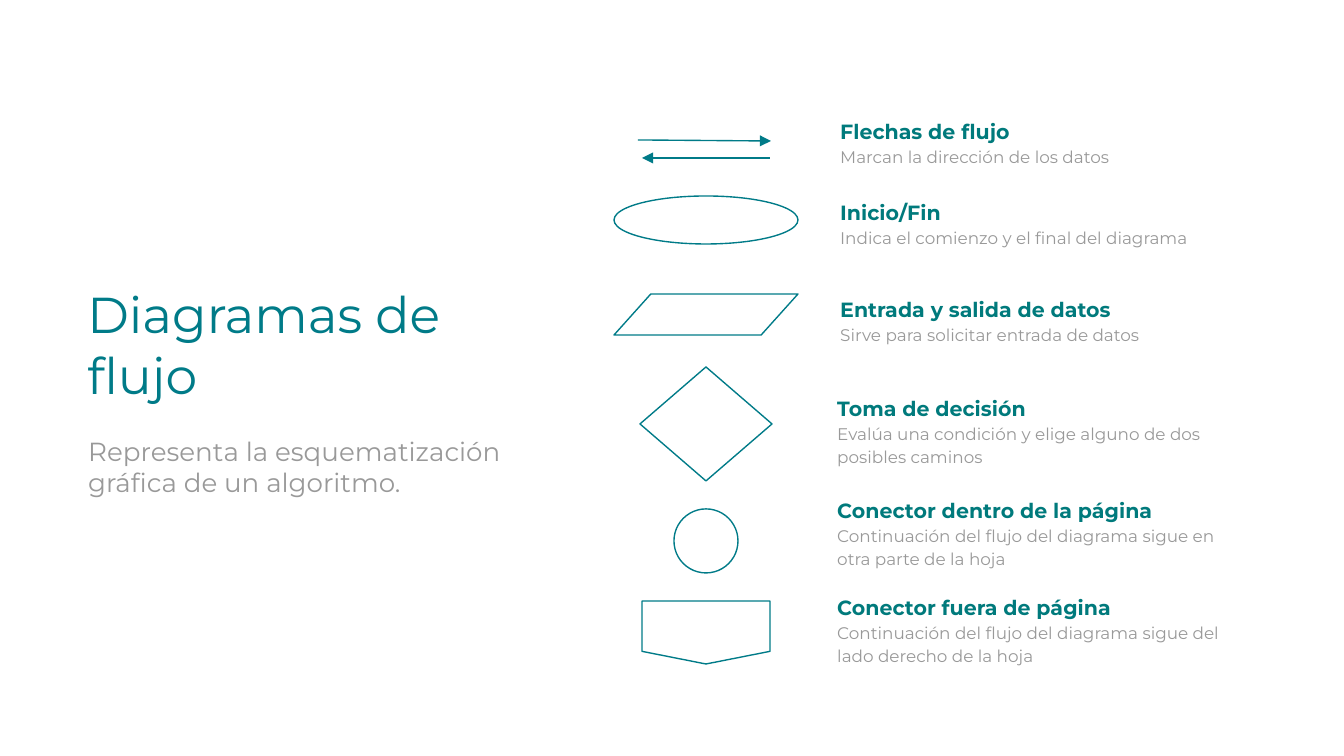
import pptx
import pptx.dml.color
import pptx.enum.shapes
import pptx.enum.text
import pptx.oxml
import pptx.oxml.ns
import pptx.util

SCALE = 914400 / 134.4
COLORS = {"outline": "007B88", "heading": "007A7C", "body": "999999"}
FONT = "Montserrat"
SHAPES = pptx.enum.shapes.MSO_SHAPE
AXIS = 706
LABEL_WIDTH = 413

SYMBOLS = [
    (SHAPES.OVAL, 196, 184, 48),
    (SHAPES.FLOWCHART_DATA, 294, 184, 41),
    (SHAPES.FLOWCHART_DECISION, 367, 132, 114),
    (SHAPES.OVAL, 509, 64, 64),
    (SHAPES.FLOWCHART_OFFPAGE_CONNECTOR, 601, 128, 63),
]

LABELS = [
    (827, 102, 77, "Flechas de flujo", "Marcan la dirección de los datos"),
    (827, 183, 77, "Inicio/Fin", "Indica el comienzo y el final del diagrama"),
    (827, 280, 77, "Entrada y salida de datos", "Sirve para solicitar entrada de datos"),
    (824, 379, 99, "Toma de decisión",
     "Evalúa una condición y elige alguno de dos posibles caminos"),
    (824, 481, 99, "Conector dentro de la página",
     "Continuación del flujo del diagrama sigue en otra parte de la hoja"),
    (824, 578, 99, "Conector fuera de página",
     "Continuación del flujo del diagrama sigue del lado derecho de la hoja"),
]


def px(*lengths):
    return [pptx.util.Emu(round(length * SCALE)) for length in lengths]


def color(name):
    return pptx.dml.color.RGBColor.from_string(COLORS[name])


class FlowSlide:
    def __init__(self, deck):
        self.page = deck.slides.add_slide(deck.slide_layouts[6])

    def outline(self, item):
        item.line.color.rgb = color("outline")
        item.line.width = pptx.util.Pt(0.75)

    def arrow(self, *ends):
        line = self.page.shapes.add_connector(
            pptx.enum.shapes.MSO_CONNECTOR.STRAIGHT, *px(*ends))
        self.outline(line)
        head = pptx.oxml.parse_xml(
            f'<a:tailEnd {pptx.oxml.ns.nsdecls("a")} type="triangle"/>')
        line.line._get_or_add_ln().append(head)
        line._element.spPr.append(pptx.oxml.parse_xml(
            f'<a:effectLst {pptx.oxml.ns.nsdecls("a")}/>'))

    def symbol(self, kind, top, width, height):
        shape = self.page.shapes.add_shape(
            kind, *px(AXIS - width // 2, top, width, height))
        shape.shadow.inherit = False
        shape.fill.background()
        self.outline(shape)

    def text(self, area, lines, spacing=None, after=None):
        box = self.page.shapes.add_textbox(*px(*area))
        frame = box.text_frame
        frame.word_wrap = True
        frame.vertical_anchor = pptx.enum.text.MSO_ANCHOR.TOP
        frame.margin_left = frame.margin_right = pptx.util.Inches(0.1)
        frame.margin_top = frame.margin_bottom = pptx.util.Inches(0.1)
        for index, (words, size, tone, bold) in enumerate(lines):
            para = frame.add_paragraph() if index else frame.paragraphs[0]
            if spacing:
                para.line_spacing = spacing
            if after:
                para.space_after = pptx.util.Pt(after)
            span = para.add_run()
            span.text = words
            span.font.name = FONT
            span.font.size = pptx.util.Pt(size)
            span.font.bold = bold
            span.font.color.rgb = color(tone)

    def label(self, left, top, height, heading, detail):
        self.text((left, top, LABEL_WIDTH, height),
                  [(heading, 11, "heading", True), (detail, 9, "body", False)],
                  spacing=1.15)


def main():
    deck = pptx.Presentation()
    deck.slide_width, deck.slide_height = px(1344, 756)
    slide = FlowSlide(deck)
    slide.arrow(638, 140, 771, 141)
    slide.arrow(770, 158, 642, 158)
    for symbol in SYMBOLS:
        slide.symbol(*symbol)
    slide.text((74, 270, 390, 74), [("Diagramas de flujo", 27, "outline", False)])
    slide.text((75, 422, 448, 81),
               [("Representa la esquematización gráfica de un algoritmo.",
                 14, "body", False)], after=16)
    for label in LABELS:
        slide.label(*label)
    deck.save("out.pptx")


if __name__ == "__main__":
    main()
